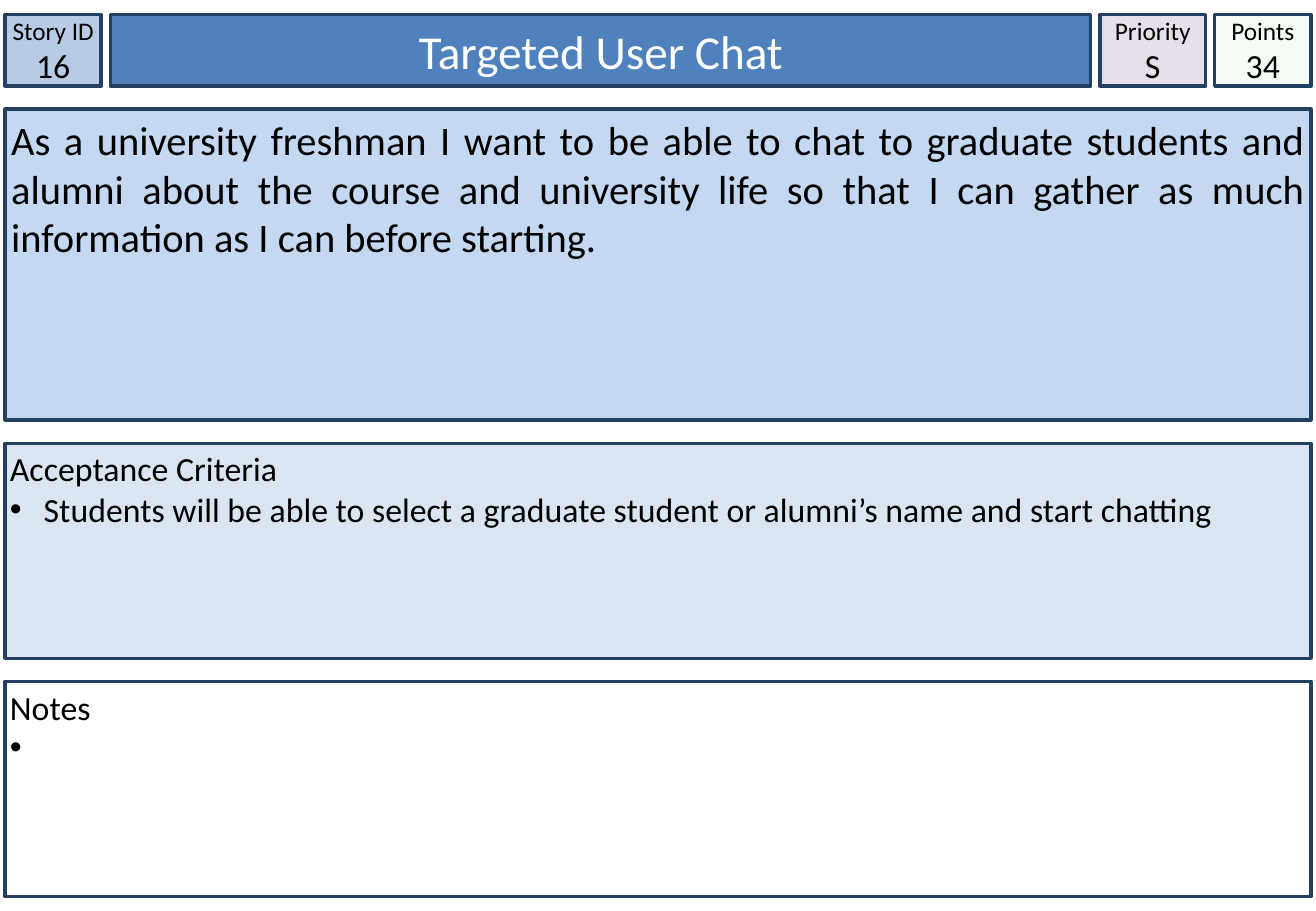
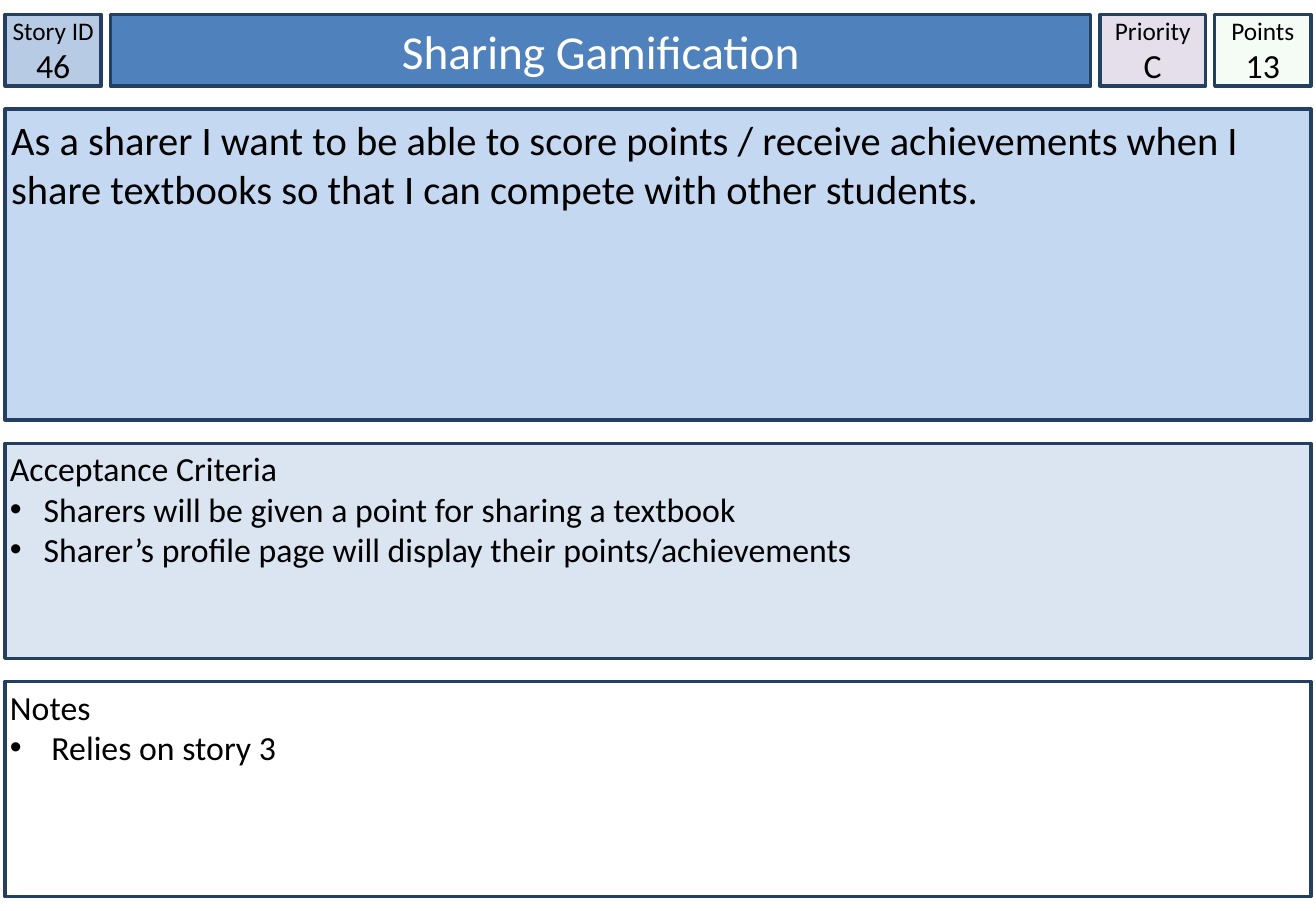
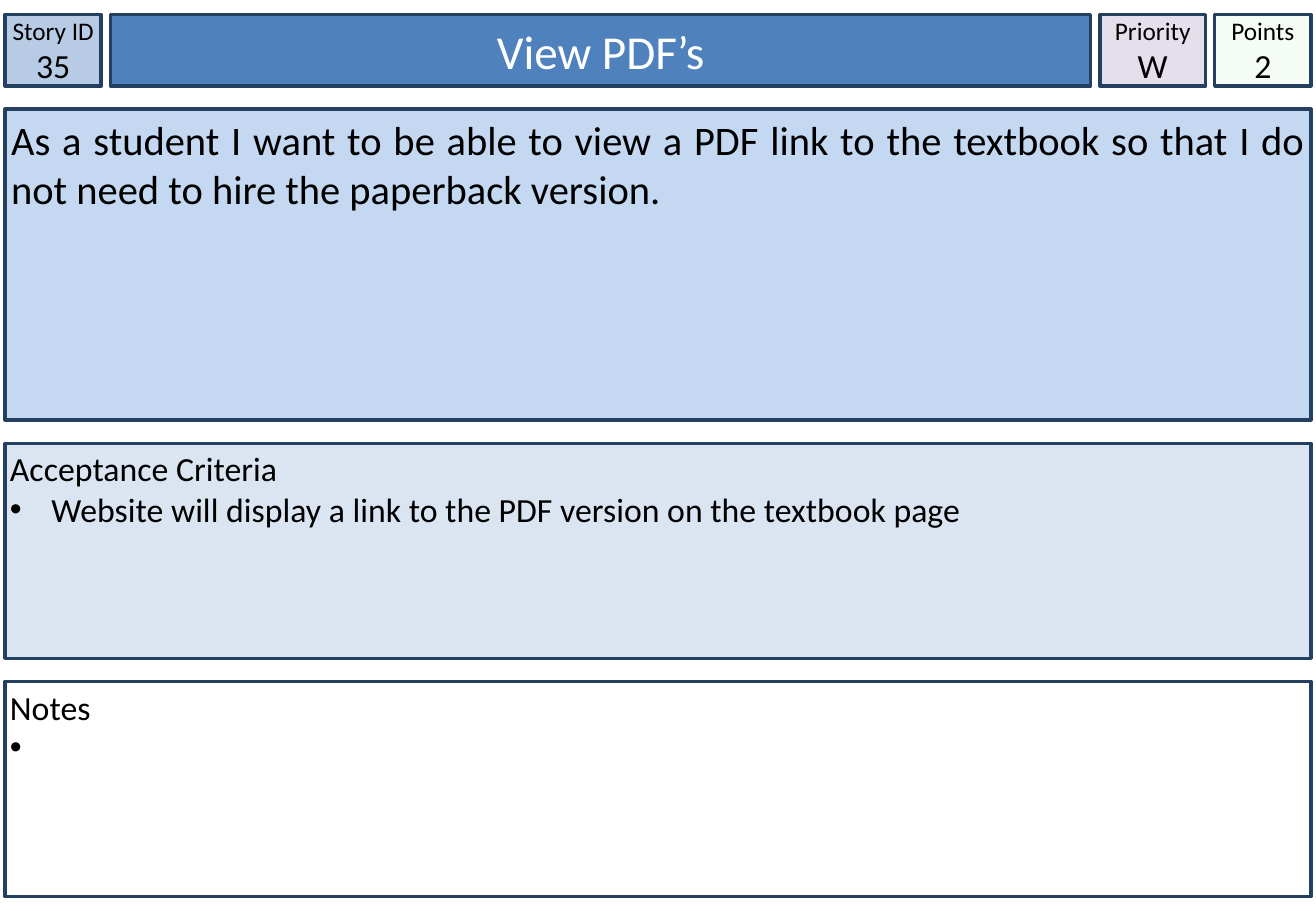
from lxml.etree import SubElement
from pptx import Presentation
from pptx.dml.color import RGBColor
from pptx.enum.shapes import MSO_SHAPE
from pptx.enum.text import MSO_ANCHOR, MSO_AUTO_SIZE, PP_ALIGN
from pptx.oxml.ns import qn
from pptx.util import Pt

RECT = MSO_SHAPE.RECTANGLE
TOP, MIDDLE = MSO_ANCHOR.TOP, MSO_ANCHOR.MIDDLE
LEFT, CENTER, JUSTIFY = PP_ALIGN.LEFT, PP_ALIGN.CENTER, PP_ALIGN.JUSTIFY
NO_FIT = MSO_AUTO_SIZE.NONE

BLACK = RGBColor(0x00, 0x00, 0x00)
WHITE = RGBColor(0xFF, 0xFF, 0xFF)
NAVY = RGBColor(0x24, 0x40, 0x61)
BLUE = RGBColor(0x4F, 0x81, 0xBD)
STEEL = RGBColor(0xB7, 0xCC, 0xE4)
SKY = RGBColor(0xC5, 0xD8, 0xF1)
PALE = RGBColor(0xDA, 0xE5, 0xF1)
LILAC = RGBColor(0xE5, 0xDF, 0xEC)
MINT = RGBColor(0xCC, 0xF0, 0xCD)

FONT = "Calibri"
EDGE, WIDTH, HEAD = 3, 774, 8.5
COL_GAP, ROW_GAP = 5.5, 13.75
COLS = (57, 581, 62.5, 57)
ROWS = (42.5, 184.25, 127.5, 127.5)
HANG, WIDE = 20, 24.6

CARDS = (
    dict(code="16", title="Targeted User Chat", rank="S", points="34",
         story="As a university freshman I want to be able to chat to graduate "
               "students and alumni about the course and university life so that "
               "I can gather as much information as I can before starting.",
         tests=["Students will be able to select a graduate student or alumni’s "
                "name and start chatting"]),
    dict(code="46", title="Sharing Gamification", rank="C", points="13",
         story="As a sharer I want to be able to score points / receive "
               "achievements when I share textbooks so that I can compete with "
               "other students.",
         align=LEFT,
         tests=["Sharers will be given a point for sharing a textbook",
                "Sharer’s profile page will display their points/achievements"],
         notes=["Relies on story 3"]),
    dict(code="35", title="View PDF’s", rank="W", points="2",
         story="As a student I want to be able to view a PDF link to the textbook "
               "so that I do not need to hire the paperback version.",
         tests=["Website will display a link to the PDF version on the textbook "
                "page"],
         indent=WIDE),
)


def starts(first, sizes, gap):
    """Return the start of each size laid end to end with a gap."""
    return [first + sum(sizes[:i]) + gap * i for i in range(len(sizes))]


XS = starts(EDGE, COLS, COL_GAP)
YS = starts(HEAD, ROWS, ROW_GAP)


class Deck:
    """Hold the card style and the current slide."""

    def __init__(self):
        """Start an empty deck."""
        self.show = Presentation()
        self.show.slide_width, self.show.slide_height = Pt(780), Pt(540)
        self.slide = None

    def start(self):
        """Add a slide."""
        self.slide = self.show.slides.add_slide(self.show.slide_layouts[5])

    def style(self, shape, fill, inset, anchor):
        """Give a shape the card look and return its text frame."""
        shape.fill.solid()
        shape.fill.fore_color.rgb = fill
        shape.line.color.rgb = NAVY
        shape.line.width = Pt(2)
        frame = shape.text_frame
        frame.word_wrap = True
        frame.auto_size = NO_FIT
        frame.vertical_anchor = anchor
        frame.margin_left = frame.margin_right = Pt(inset)
        frame.margin_top = frame.margin_bottom = Pt(inset)
        return frame

    def box(self, x, y, w, h, fill, inset=0, anchor=MIDDLE):
        """Add a framed rectangle."""
        shape = self.slide.shapes.add_shape(RECT, Pt(x), Pt(y), Pt(w), Pt(h))
        shape.shadow.inherit = False
        self.style(shape, fill, inset, anchor)
        return shape

    def label(self, para, text, size, align=LEFT, color=BLACK):
        """Fill a paragraph with text in one font."""
        para.text = text
        para.alignment = align
        para.font.name = FONT
        para.font.size = Pt(size)
        para.font.color.rgb = color

    def bullet(self, para, indent):
        """Give a paragraph a hanging bullet."""
        props = para._p.get_or_add_pPr()
        props.set("marL", str(Pt(indent)))
        props.set("indent", str(-Pt(indent)))
        tint = SubElement(props, qn("a:buClr"))
        SubElement(tint, qn("a:srgbClr"), val=str(BLACK))
        SubElement(props, qn("a:buFont"), typeface="Arial")
        SubElement(props, qn("a:buChar"), char="•")

    def title(self, text):
        """Place the title band."""
        shape = self.slide.shapes.title
        shape.left, shape.top = Pt(XS[1]), Pt(YS[0])
        shape.width, shape.height = Pt(COLS[1]), Pt(ROWS[0])
        frame = self.style(shape, BLUE, 0, MIDDLE)
        self.label(frame.paragraphs[0], text, 28, CENTER, WHITE)

    def badge(self, col, name, value, fill, alpha=None):
        """Add a small name and value box in the top row."""
        shape = self.box(XS[col], YS[0], COLS[col], ROWS[0], fill)
        if alpha:
            tint = shape._element.spPr.find(qn("a:solidFill"))[0]
            SubElement(tint, qn("a:alpha"), val=str(alpha * 1000))
        frame = shape.text_frame
        self.label(frame.paragraphs[0], name, 15, CENTER)
        self.label(frame.add_paragraph(), value, 20, CENTER)

    def story(self, text, align):
        """Add the user story panel."""
        shape = self.box(EDGE, YS[1], WIDTH, ROWS[1], SKY, 3.6, TOP)
        self.label(shape.text_frame.paragraphs[0], text, 24, align)

    def panel(self, row, head, items, fill, indent):
        """Add a full-width panel with a heading and bullets."""
        shape = self.box(EDGE, YS[row], WIDTH, ROWS[row], fill, 2.9, TOP)
        frame = shape.text_frame
        self.label(frame.paragraphs[0], head, 20)
        for item in items:
            para = frame.add_paragraph()
            self.bullet(para, indent)
            self.label(para, item, 20)

    def card(self, code, title, rank, points, story, tests,
             align=JUSTIFY, notes=(" ",), indent=HANG):
        """Build one story card."""
        self.start()
        self.badge(0, "Story ID", code, STEEL)
        self.title(title)
        self.story(story, align)
        self.panel(2, "Acceptance Criteria", tests, PALE, indent)
        self.badge(3, "Points", points, MINT, 20)
        self.badge(2, "Priority", rank, LILAC)
        self.panel(3, "Notes", notes, WHITE, WIDE)


def main():
    """Build and save the deck."""
    deck = Deck()
    for card in CARDS:
        deck.card(**card)
    deck.show.save("out.pptx")


if __name__ == "__main__":
    main()
